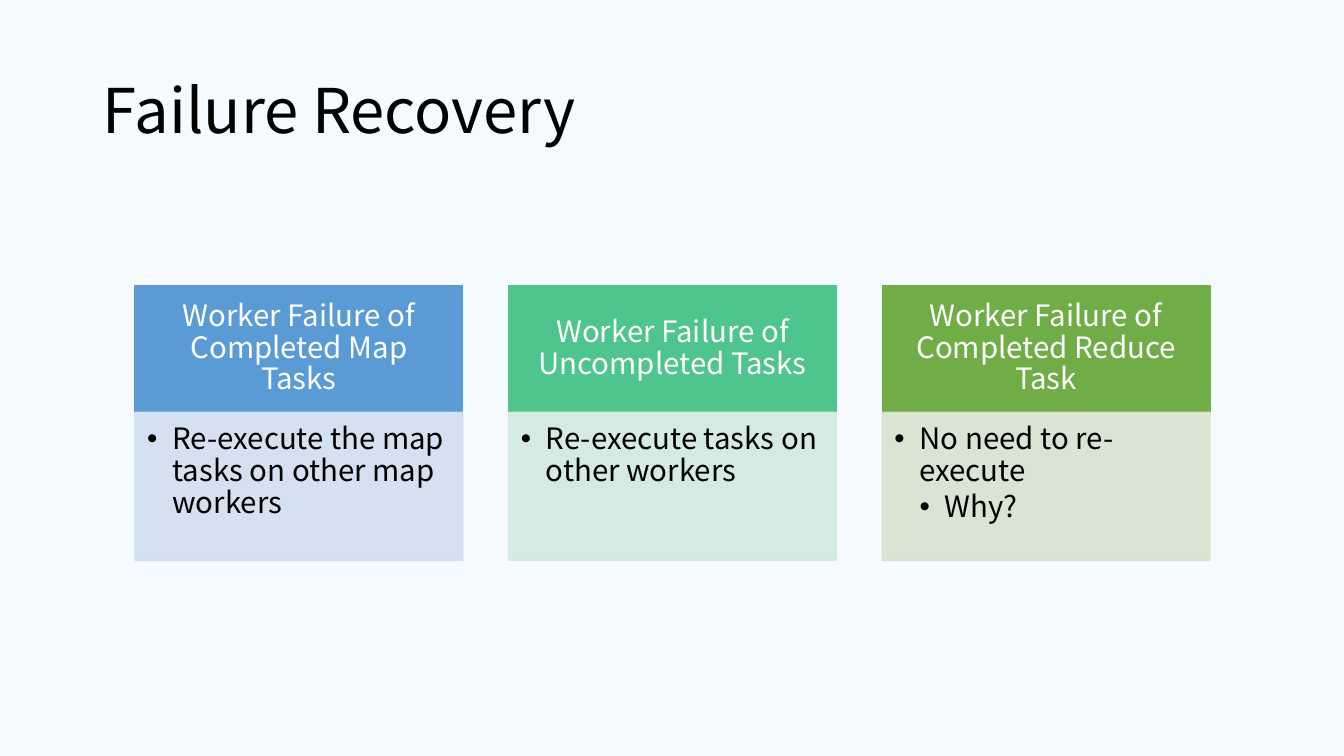
from lxml.etree import SubElement
from pptx import Presentation
from pptx.dml.color import RGBColor
from pptx.enum.shapes import MSO_SHAPE
from pptx.enum.text import MSO_ANCHOR, PP_ALIGN
from pptx.oxml.ns import qn
from pptx.util import Inches, Pt

FONT = "Noto Sans CJK SC"
LEFT, PITCH, WIDTH = 1.34, 3.705, 3.25
HEADING_TOP, HEADING_HEIGHT, BODY_HEIGHT = 2.83, 1.26, 1.47

# heading, heading colour, body colour, bullets as (level, text)
CARDS = [
    ("Worker Failure of Completed Map Tasks", "5B9BD5", "D2DEEF",
     [(1, "Re-execute the map tasks on other map workers")]),
    ("Worker Failure of Uncompleted Tasks", "4DC58D", "D0EAE1",
     [(1, "Re-execute tasks on other workers")]),
    ("Worker Failure of Completed Reduce Task", "70AD47", "D5E3CF",
     [(1, "No need to re-execute"), (2, "Why?")]),
]


def add_panel(page, left, top, height, color, margins, opacity=100):
    """Add a filled rectangle and return its text frame; margins run left, top, right, bottom."""
    panel = page.shapes.add_shape(
        MSO_SHAPE.RECTANGLE, Inches(left), Inches(top), Inches(WIDTH), Inches(height))
    panel.shadow.inherit = False
    panel.fill.solid()
    panel.line.fill.solid()
    panel.line.width = Pt(1)
    for paint in (panel.fill, panel.line.fill):
        paint.fore_color.rgb = RGBColor.from_string(color)
    if opacity < 100:
        for tint in panel._element.spPr.iter(qn("a:srgbClr")):
            SubElement(tint, qn("a:alpha"), val=str(opacity * 1000))
    frame = panel.text_frame
    frame.word_wrap = True
    (frame.margin_left, frame.margin_top,
     frame.margin_right, frame.margin_bottom) = map(Inches, margins)
    return frame


def write(para, text, size, color, align=PP_ALIGN.LEFT):
    para.alignment = align
    para.line_spacing = 0.9
    span = para.add_run()
    span.text = text
    span.font.name = FONT
    span.font.size = Pt(size)
    span.font.color.rgb = RGBColor.from_string(color)
    SubElement(span.font._element, qn("a:ea"), typeface=FONT)


deck = Presentation()
deck.slide_width, deck.slide_height = Inches(13.33), Inches(7.5)
page = deck.slides.add_slide(deck.slide_layouts[5])
page.background.fill.solid()
page.background.fill.fore_color.rgb = RGBColor.from_string("F5FAFF")

title = page.shapes.title
title.left, title.top = Inches(0.92), Inches(0.4)
title.width, title.height = Inches(11.5), Inches(1.45)
title.text_frame.vertical_anchor = MSO_ANCHOR.MIDDLE
write(title.text_frame.paragraphs[0], "Failure Recovery", 44, "000000")

for column, (heading, heading_color, body_color, bullets) in enumerate(CARDS):
    left = LEFT + column * PITCH
    head = add_panel(page, left, HEADING_TOP, HEADING_HEIGHT, heading_color,
                     (0.16, 0.09, 0.16, 0.09))
    head.vertical_anchor = MSO_ANCHOR.MIDDLE
    write(head.paragraphs[0], heading, 21, "FFFFFF", PP_ALIGN.CENTER)

    body = add_panel(page, left, HEADING_TOP + HEADING_HEIGHT, BODY_HEIGHT, body_color,
                     (0.12, 0.12, 0.16, 0.18), opacity=90)
    body.vertical_anchor = MSO_ANCHOR.TOP
    for index, (level, text) in enumerate(bullets):
        para = body.add_paragraph() if index else body.paragraphs[0]
        write(para, text, 21, "000000")
        para.level = level
        para.space_after = Pt(3)
        properties = para._p.get_or_add_pPr()
        properties.set("marL", str(Inches(0.25 * level)))
        properties.set("indent", str(Inches(-0.25)))
        SubElement(properties, qn("a:buFont"), typeface="Arial")
        SubElement(properties, qn("a:buChar"), char="•")

deck.save("out.pptx")
